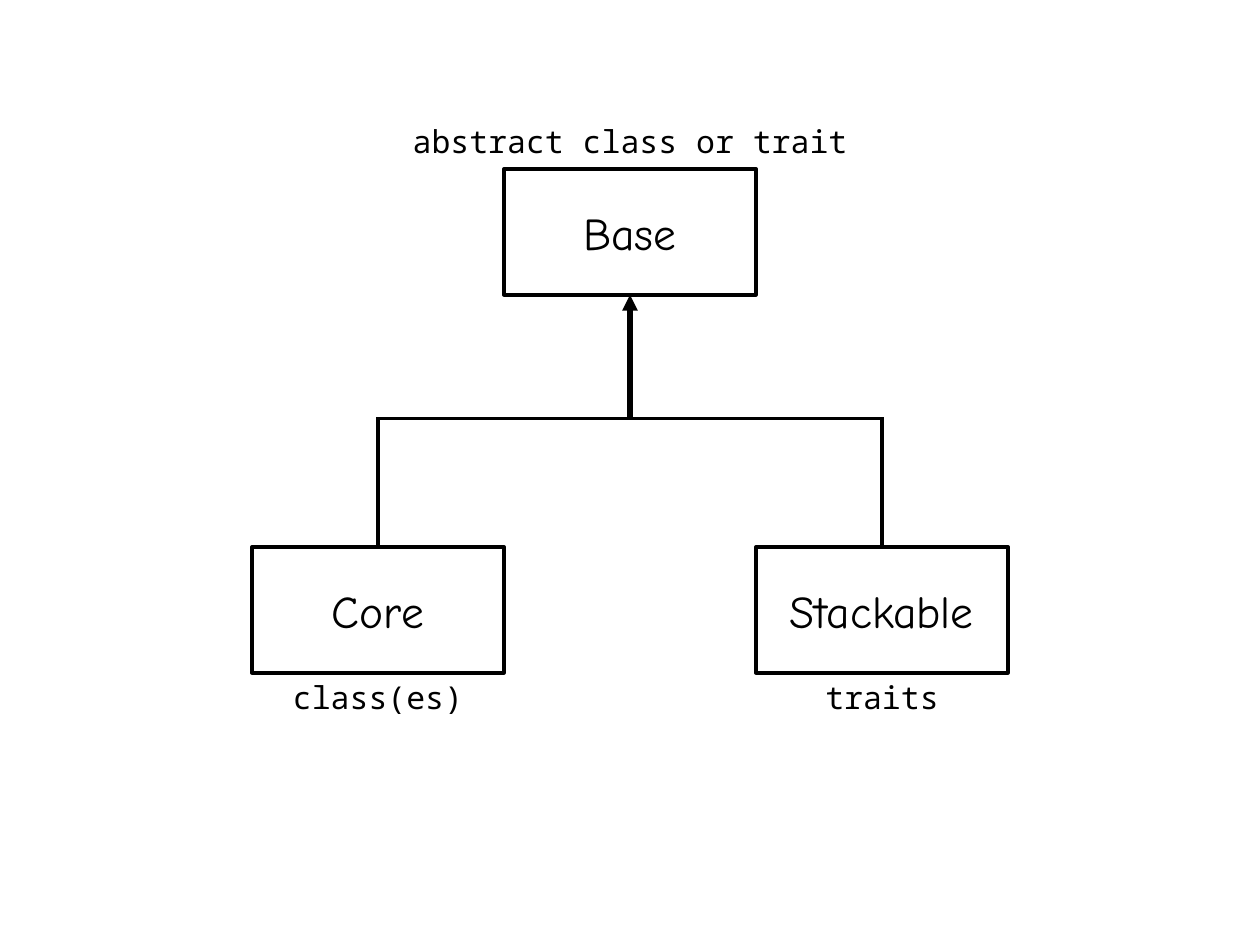
from dataclasses import dataclass

import pptx
import pptx.dml.color
import pptx.enum.shapes
import pptx.enum.text
import pptx.oxml
import pptx.oxml.ns
import pptx.oxml.xmlchemy
import pptx.util
from lxml import etree

Pt = pptx.util.Pt
COLORS = {"ink": "000000", "paper": "FFFFFF"}
BOX_W, BOX_H = 144, 72
LABEL_W, LABEL_H = 288, 28.8
BUS_Y = 239.04


@dataclass
class Node:
    """A type box, centred on x, with its caption."""
    name: str
    caption: str
    x: float
    top: float
    caption_top: float


@dataclass
class Link:
    """A straight line between two points."""
    x1: float
    y1: float
    x2: float
    y2: float
    width: float = 2
    arrow: bool = False


BASE = Node("Base", "abstract class or trait", 360, 96.48, 66.24)
CHILDREN = [
    Node("Core", "class(es)", 216, 312.48, 384),
    Node("Stackable", "traits", 504, 312.48, 384),
]


def rgb(name: str) -> pptx.dml.color.RGBColor:
    """Return a named colour."""
    return pptx.dml.color.RGBColor.from_string(COLORS[name])


def write(sp, text: str, font: str, size: float) -> None:
    """Put one centred run of text into a shape."""
    tf = sp.text_frame
    tf.word_wrap = True
    p = tf.paragraphs[0]
    p.alignment = pptx.enum.text.PP_ALIGN.CENTER
    r = p.add_run()
    r.text = text
    r.font.name, r.font.size = font, Pt(size)
    r.font.color.rgb = rgb("ink")


def draw_node(s, node: Node) -> None:
    """Draw a box and its caption."""
    sp = s.shapes.add_shape(
        pptx.enum.shapes.MSO_SHAPE.RECTANGLE,
        Pt(node.x - BOX_W / 2), Pt(node.top), Pt(BOX_W), Pt(BOX_H))
    sp.shadow.inherit = False
    sp.fill.solid()
    sp.fill.fore_color.rgb = rgb("paper")
    sp.line.color.rgb = rgb("ink")
    sp.line.width = Pt(2)
    sp.text_frame.vertical_anchor = pptx.enum.text.MSO_ANCHOR.MIDDLE
    write(sp, node.name, "Comic Neue", 26)

    label = s.shapes.add_textbox(
        Pt(node.x - LABEL_W / 2), Pt(node.caption_top), Pt(LABEL_W), Pt(LABEL_H))
    label.text_frame.auto_size = pptx.enum.text.MSO_AUTO_SIZE.SHAPE_TO_FIT_TEXT
    write(label, node.caption, "Noto Sans Mono", 18)


def draw_link(s, link: Link) -> None:
    """Draw a line, with an arrowhead at its end if asked."""
    sp = s.shapes.add_connector(
        pptx.enum.shapes.MSO_CONNECTOR.STRAIGHT,
        Pt(link.x1), Pt(link.y1), Pt(link.x2), Pt(link.y2))
    sp.line.color.rgb = rgb("ink")
    sp.line.width = Pt(link.width)
    qn = pptx.oxml.ns.qn
    props = sp._element.spPr
    if link.arrow:
        etree.SubElement(props.find(qn("a:ln")), qn("a:tailEnd"), type="triangle")
    etree.SubElement(props, qn("a:effectLst"))


def main() -> None:
    """Build the class diagram."""
    prs = pptx.Presentation()
    prs.slide_width, prs.slide_height = Pt(720), Pt(540)
    s = prs.slides.add_slide(prs.slide_layouts[6])

    for node in [BASE, *CHILDREN]:
        draw_node(s, node)

    left, right = (child.x for child in CHILDREN)
    links = [Link(left - 1, BUS_Y, right + 1, BUS_Y)]
    links += [Link(child.x, child.top, child.x, BUS_Y) for child in CHILDREN]
    links.append(Link(BASE.x, BUS_Y, BASE.x, BASE.top + BOX_H, width=3, arrow=True))
    for link in links:
        draw_link(s, link)

    prs.save("out.pptx")


main()
